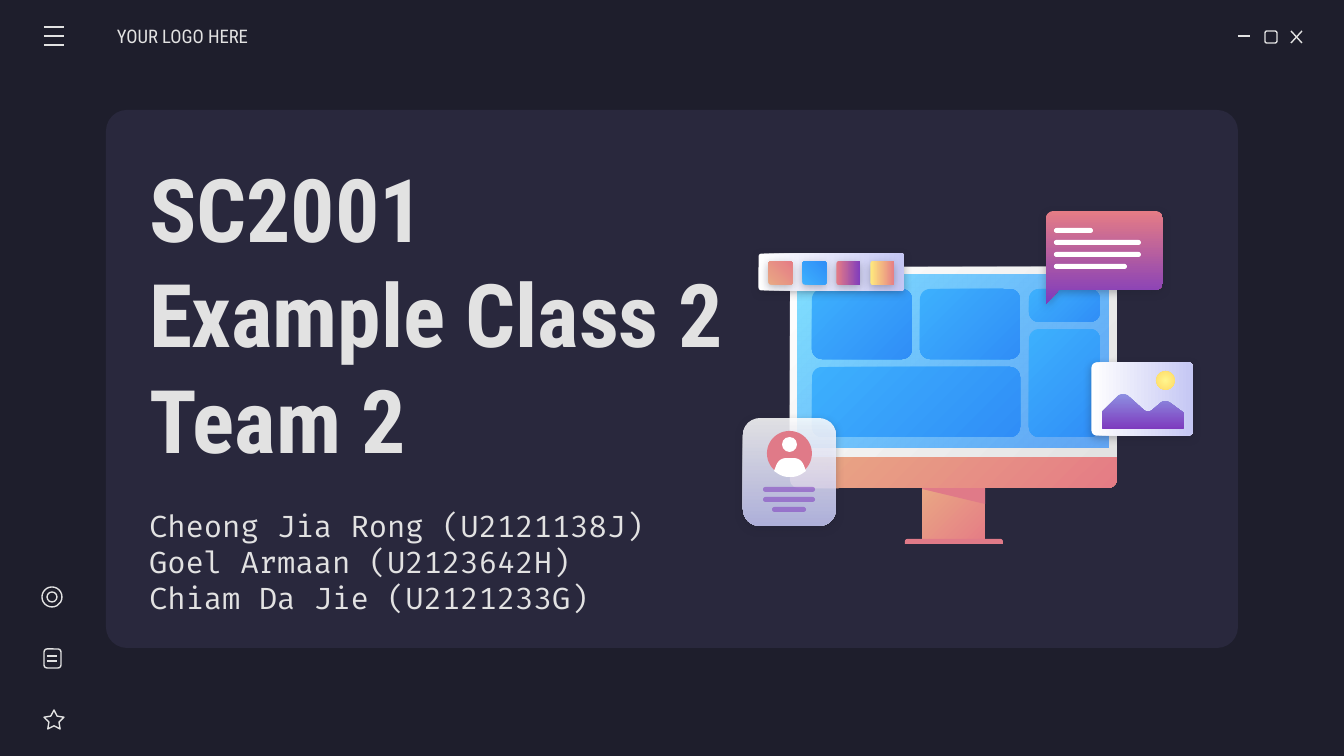
"""Builds the SC2001 team title slide."""
import math

import pptx
import pptx.dml.color
import pptx.enum.shapes
import pptx.enum.text
import pptx.oxml
import pptx.oxml.ns
import pptx.util

PX = 914400 / 134.4
SHAPES = pptx.enum.shapes.MSO_SHAPE
COLOURS = {
    "night": "1E1E2C", "panel": "29283D", "pale": "E2E2E2", "white": "FFFFFF",
    "peach": "E9A984", "coral": "E57C85", "rose": "E07A88", "purple": "7E3BBE",
    "sky": "80DFFF", "azure": "318FFA", "tile top": "3DB0FD", "tile end": "308EF7",
    "lavender": "C5C7F4", "violet": "8D90E1", "lemon": "FFF68E", "gold": "FFD966",
    "butter": "FFEA7D",
}
SUNSET = ("peach", "coral", 45)
OCEAN = ("tile top", "tile end", 45)
DUSK = ("coral", "purple", 90)
FROST = ("white", "lavender", 90)


def emu(px):
    return pptx.util.Emu(round(px * PX))


def rgb(name):
    return pptx.dml.color.RGBColor.from_string(COLOURS[name])


class Deck:
    def __init__(self, width, height):
        self.show = pptx.Presentation()
        self.show.slide_width, self.show.slide_height = emu(width), emu(height)
        self.slide = self.show.slides.add_slide(self.show.slide_layouts[5])
        self.slide.background.fill.solid()
        self.slide.background.fill.fore_color.rgb = rgb("night")

    def xml(self, parent, tag, **attributes):
        child = pptx.oxml.parse_xml(f"<a:{tag} {pptx.oxml.ns.nsdecls('a')}/>")
        for key, value in attributes.items():
            child.set(key, str(value))
        parent.append(child)
        return child

    def paint(self, shape, fill, alphas=(), shadow=0):
        properties = shape.element.spPr
        if fill is None:
            shape.fill.background()
            shape.line.color.rgb = rgb("pale")
            shape.line.width = pptx.util.Pt(0.75)
        else:
            shape.line.fill.background()
            if isinstance(fill, str):
                shape.fill.solid()
                shape.fill.fore_color.rgb = rgb(fill)
            else:
                self.blend(shape, *fill)
            for colour, alpha in zip(properties.iter(pptx.oxml.ns.qn("a:srgbClr")), alphas):
                self.xml(colour, "alpha", val=alpha * 1000)
        shape.shadow.inherit = False
        if shadow:
            effects = properties.find(pptx.oxml.ns.qn("a:effectLst"))
            outer = self.xml(effects, "outerShdw", blurRad=57150, dist=19050,
                             dir=5400000, algn="bl", rotWithShape=0)
            tint = self.xml(outer, "srgbClr", val=COLOURS["night"])
            self.xml(tint, "alpha", val=shadow * 1000)
        return shape

    def blend(self, shape, start, end, angle):
        shape.fill.gradient()
        for stop, name, position in zip(shape.fill.gradient_stops, (start, end), (0, 1)):
            stop.color.rgb = rgb(name)
            stop.position = position
        if angle is not None:
            shape.fill.gradient_angle = (360 - angle) % 360
            return
        gradient = shape.element.spPr.find(pptx.oxml.ns.qn("a:gradFill"))
        gradient.remove(gradient.find(pptx.oxml.ns.qn("a:lin")))
        radial = self.xml(gradient, "path", path="circle")
        self.xml(radial, "fillToRect", l=50000, t=50000, r=50000, b=50000)

    def shape(self, kind, box, fill=None, adjust=(), turn=0, **effects):
        shape = self.slide.shapes.add_shape(kind, *map(emu, box))
        for index, value in enumerate(adjust):
            shape.adjustments[index] = value
        shape.rotation = turn
        return self.paint(shape, fill, **effects)

    def rounded(self, box, radius, fill=None, **effects):
        ratio = min(0.5, radius / min(box[2:]))
        return self.shape(SHAPES.ROUNDED_RECTANGLE, box, fill, [ratio], **effects)

    def outline(self, corners, fill, **effects):
        points = []
        for index, (x, y, radius) in enumerate(corners):
            ends = []
            for other in (corners[index - 1], corners[(index + 1) % len(corners)]):
                share = radius / math.dist((x, y), other[:2])
                ends.append((x + share * (other[0] - x), y + share * (other[1] - y)))
            for t in [step / 8 for step in range(9)] if radius else [0]:
                weights = ((1 - t) ** 2, 2 * t * (1 - t), t ** 2)
                curve = (ends[0], (x, y), ends[1])
                points.append(tuple(emu(sum(w * p[axis] for w, p in zip(weights, curve)))
                                    for axis in (0, 1)))
        builder = self.slide.shapes.build_freeform(*points[0], scale=1.0)
        builder.add_line_segments(points[1:], close=True)
        return self.paint(builder.convert_to_shape(), fill, **effects)

    def line(self, *ends):
        line = self.slide.shapes.add_connector(
            pptx.enum.shapes.MSO_CONNECTOR.STRAIGHT, *map(emu, ends))
        line.line.color.rgb = rgb("pale")
        line.line.width = pptx.util.Pt(0.75)
        self.xml(line.element.spPr, "effectLst")

    def typeset(self, holder, box, lines, font, size, bold=False, left=13, spacing=None):
        holder.left, holder.top, holder.width, holder.height = map(emu, box)
        frame = holder.text_frame
        frame.word_wrap = True
        frame.auto_size = pptx.enum.text.MSO_AUTO_SIZE.NONE
        frame.vertical_anchor = pptx.enum.text.MSO_ANCHOR.MIDDLE
        frame.margin_left = emu(left)
        frame.margin_top = frame.margin_right = frame.margin_bottom = emu(13)
        for index, words in enumerate(lines):
            paragraph = frame.paragraphs[0] if index == 0 else frame.add_paragraph()
            paragraph.alignment = pptx.enum.text.PP_ALIGN.LEFT
            if spacing:
                paragraph.line_spacing = pptx.util.Pt(spacing)
            run = paragraph.add_run()
            run.text = words
            run.font.name, run.font.size, run.font.bold = font, pptx.util.Pt(size), bold
            run.font.color.rgb = rgb("pale")

    def text(self, box, *style, **options):
        self.typeset(self.slide.shapes.add_textbox(*map(emu, box)), box, *style, **options)

    def title(self, box, *style, **options):
        title = self.slide.shapes.title
        title.element.getparent().append(title.element)
        self.typeset(title, box, *style, **options)


def draw_monitor(deck):
    deck.shape(SHAPES.RECTANGLE, (922, 485, 63, 58), SUNSET)
    deck.shape(SHAPES.ROUND_2_SAME_RECTANGLE, (905, 539, 98, 5), "rose", [0.5, 0])
    deck.outline([(922, 485, 0), (922, 489, 0), (985, 504, 0), (985, 485, 0)], "rose")
    deck.shape(SHAPES.ROUND_2_SAME_RECTANGLE, (790, 456, 327, 32), SUNSET, [0, 0.27])
    deck.shape(SHAPES.ROUND_2_SAME_RECTANGLE, (790, 267, 327, 190),
               ("white", "pale", 45), [0.05, 0])
    deck.shape(SHAPES.RECTANGLE, (798, 275, 310, 173), ("sky", "azure", 45), alphas=(100, 72))
    for tile in ((812, 289, 100, 70), (812, 367, 208, 70), (920, 289, 100, 70),
                 (1029, 289, 71, 33), (1029, 329, 71, 108)):
        deck.rounded(tile, 10, OCEAN)


def draw_cards(deck):
    deck.outline([(1046, 211, 9), (1046, 304, 1), (1059, 290, 0), (1163, 290, 9),
                  (1163, 211, 9)], DUSK, shadow=30)
    for row, width in enumerate((39, 87, 87, 73)):
        deck.rounded((1054, 228 + 12 * row, width, 5), 3, "white")

    deck.rounded((743, 418, 93, 108), 17, FROST, alphas=(86, 86), shadow=29)
    deck.shape(SHAPES.OVAL, (767, 431, 45, 45), "rose")
    deck.shape(SHAPES.OVAL, (782, 437, 15, 15), "white")
    deck.outline([(774, 471, 0), (779, 458, 8), (801, 458, 8), (806, 471, 0),
                  (797, 477, 6), (783, 477, 6)], "white")
    for row, (left, width) in enumerate(((763, 52), (763, 52), (772, 34))):
        deck.rounded((left, 487 + 10 * row, width, 5), 3, "purple", alphas=(54,))

    deck.rounded((1106, 348, 73, 102), 5, FROST, turn=270, shadow=30)
    deck.outline([(1102, 412, 2), (1123, 391, 8), (1148, 414, 7), (1165, 399, 7),
                  (1184, 413, 2), (1184, 429, 3), (1102, 429, 3)], ("violet", "purple", 90))
    deck.shape(SHAPES.OVAL, (1156, 371, 19, 19), ("lemon", "gold", None))

    deck.rounded((813, 199, 37, 146), 3, FROST, turn=270, shadow=30)
    for column, swatch in enumerate((SUNSET, OCEAN, DUSK, ("butter", "coral", 90))):
        deck.rounded((769 + 34 * column, 261, 23, 24), 2, swatch, turn=270, shadow=30)


def draw_icons(deck):
    for y in (27, 36, 45):
        deck.line(44, y, 64, y)
    deck.shape(SHAPES.STAR_5_POINT, (44, 710, 20, 19), adjust=[0.254, 1.051, 1.106])
    deck.rounded((44, 649, 17, 19), 3)
    for y in (656, 661):
        deck.line(47, y, 57, y)
    deck.shape(SHAPES.OVAL, (42, 587, 20, 20))
    deck.shape(SHAPES.OVAL, (47, 592, 10, 10))


def main():
    deck = Deck(1344, 756)
    deck.rounded((106, 110, 1132, 538), 21, "panel")
    deck.line(1238, 36, 1250, 36)
    deck.rounded((1265, 31, 12, 12), 2)
    deck.line(1291, 31, 1302, 43)
    deck.line(1302, 31, 1291, 43)
    deck.text((136, 519, 531, 85), ["Cheong Jia Rong (U2121138J)", "Goel Armaan (U2123642H)",
                                    "Chiam Da Jie (U2121233G)"], "Fira Code", 16)
    deck.text((117, 16, 157, 41), ["YOUR LOGO HERE"], "Roboto Condensed", 10, left=0)
    deck.title((136, 194, 622, 237), ["SC2001", "Example Class 2", "Team 2"],
               "Roboto Condensed", 47, bold=True, spacing=56.6)
    draw_monitor(deck)
    draw_cards(deck)
    draw_icons(deck)
    deck.show.save("out.pptx")


if __name__ == "__main__":
    main()
